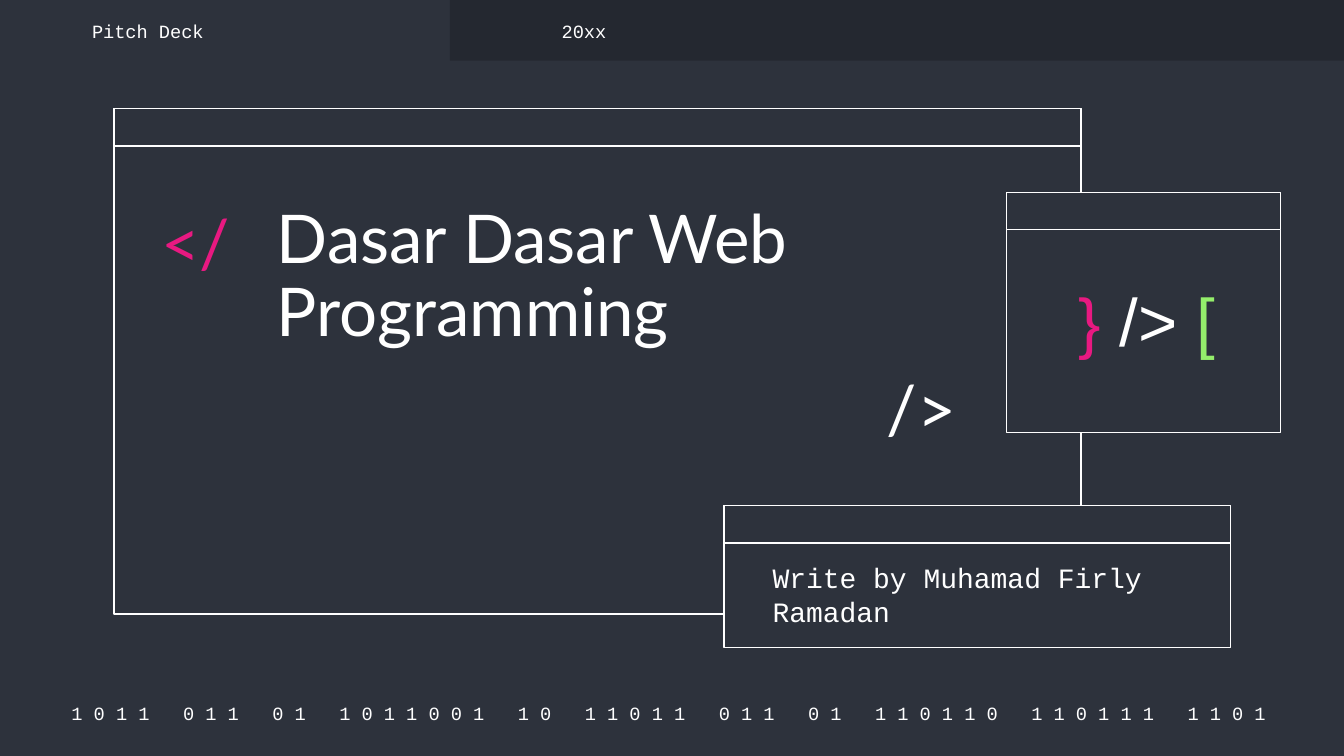
from pptx import Presentation
from pptx.dml.color import RGBColor
from pptx.enum.shapes import MSO_SHAPE as Shape
from pptx.enum.text import MSO_ANCHOR as Anchor, MSO_AUTO_SIZE as AutoSize, PP_ALIGN as Align
from pptx.util import Pt

BACKGROUND, BAND, WHITE, PINK, GREEN = "2D323C", "242830", "FFFFFF", "E81981", "94EE6B"
HEADING, SYMBOL, CODE = "Lato", "Arial", "Courier New"
INSET = 7.2
BAR_HEIGHT = 20

TITLE = "Dasar Dasar Web Programming"
AUTHOR = "Write by Muhamad Firly Ramadan"
BINARY = "1011 011 01 1011001 10 11011 011 01 110110 110111 1101"
WINDOWS = [
    (61.1, 58.2, 518, 270.7),
    (387.8, 270.9, 271.4, 75.9),
    (539.2, 103.1, 146.8, 128.8),
]
TABS = [("Pitch Deck", 42.2), ("20xx", 293.8)]
BRACKETS = [("</", PINK, 79.2, 108.7), ("/>", WHITE, 468, 197.3)]
SYMBOLS = [("}", PINK), (" /> ", WHITE), ("[", GREEN)]


def color(value):
    return RGBColor.from_string(value)


def add_rectangle(page, frame, fill, line=None):
    box = page.shapes.add_shape(Shape.RECTANGLE, *map(Pt, frame))
    box.shadow.inherit = False
    box.fill.solid()
    box.fill.fore_color.rgb = color(fill)
    if line:
        box.line.color.rgb = color(line)
        box.line.width = Pt(0.75)
    else:
        box.line.fill.background()


def write(box, spans, font=CODE, size=10, align=Align.LEFT, anchor=Anchor.MIDDLE,
          spacing=1.0, right_inset=INSET):
    frame = box.text_frame
    frame.word_wrap = True
    frame.auto_size = AutoSize.NONE
    frame.vertical_anchor = anchor
    frame.margin_left = frame.margin_top = frame.margin_bottom = Pt(INSET)
    frame.margin_right = Pt(right_inset)
    para = frame.paragraphs[0]
    para.alignment = align
    para.line_spacing = spacing
    para.space_before = Pt(0)
    for text, ink in spans:
        span = para.add_run()
        span.text = text
        span.font.name = font
        span.font.size = Pt(size)
        span.font.color.rgb = color(ink)


def add_text(page, frame, spans, **style):
    write(page.shapes.add_textbox(*map(Pt, frame)), spans, **style)


def main():
    deck = Presentation()
    deck.slide_width, deck.slide_height = Pt(720), Pt(405)
    page = deck.slides.add_slide(deck.slide_layouts[5])
    page.background.fill.solid()
    page.background.fill.fore_color.rgb = color(BACKGROUND)

    title = page.shapes.title
    title.left, title.top, title.width, title.height = map(Pt, (141.1, 103, 326.9, 131.8))
    write(title, [(TITLE, WHITE)], font=HEADING, size=36, anchor=Anchor.TOP, spacing=0.9)

    add_text(page, (27.4, 374.6, 667.4, 14.4), [(" ".join(BINARY), WHITE)],
             align=Align.CENTER, right_inset=INSET + 6)
    add_rectangle(page, (241, 0, 479, 32.6), BAND)

    for left, top, width, height in WINDOWS:
        add_rectangle(page, (left, top, width, height), BACKGROUND, WHITE)
        add_rectangle(page, (left, top, width, BAR_HEIGHT), BACKGROUND, WHITE)

    for text, ink, left, top in BRACKETS:
        add_text(page, (left, top, 55.4, 47.5), [(text, ink)],
                 font=HEADING, size=36, spacing=0.9)
    add_text(page, (566.6, 147.6, 95.8, 59), SYMBOLS, font=SYMBOL, size=36,
             align=Align.CENTER, anchor=Anchor.TOP, spacing=0.9)
    add_text(page, (406.8, 297.4, 239.8, 41.8), [(AUTHOR, WHITE)], size=15)
    for text, left in TABS:
        add_text(page, (left, 9.4, 157.7, 14.4), [(text, WHITE)])

    page.shapes._spTree.append(title._element)
    deck.save("out.pptx")


if __name__ == "__main__":
    main()
